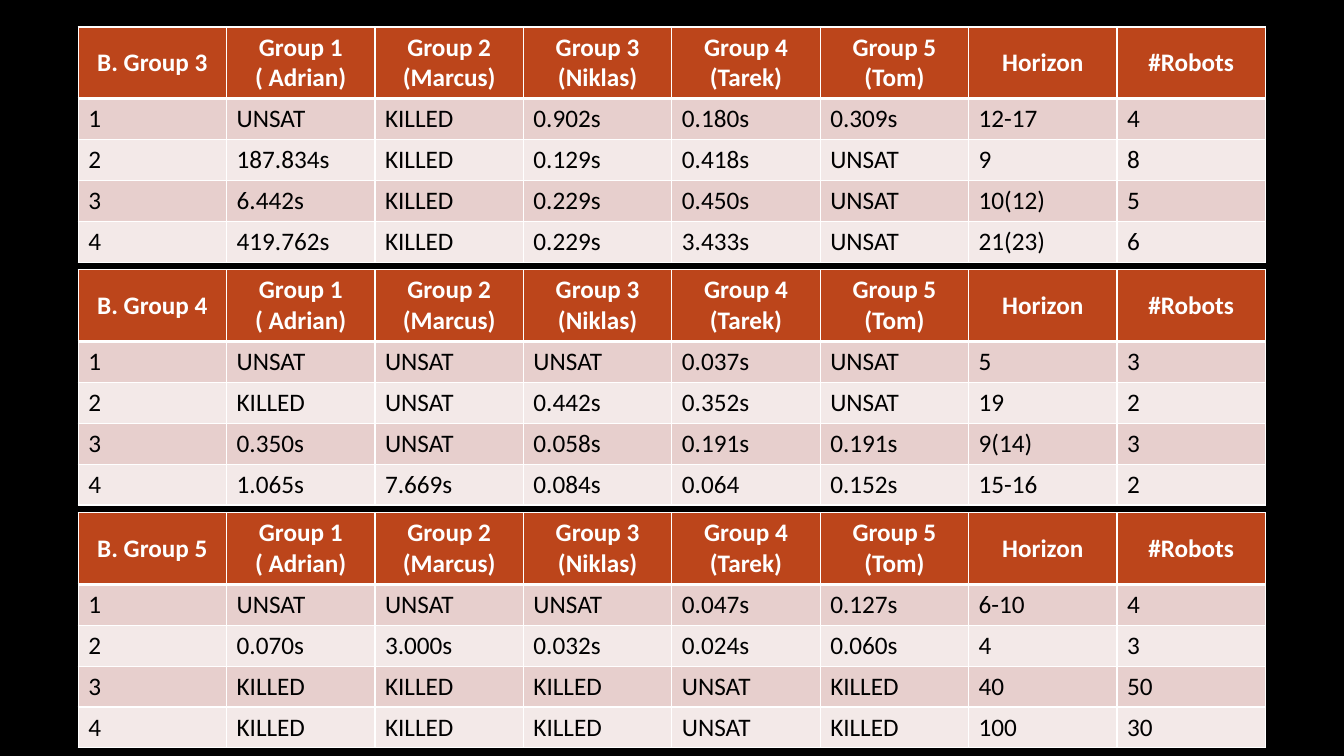
from lxml.etree import SubElement
from pptx import Presentation
from pptx.dml.color import RGBColor
from pptx.enum.text import MSO_ANCHOR, PP_ALIGN
from pptx.oxml.ns import qn
from pptx.util import Cm, Pt

HEADINGS = ["Group 1\n( Adrian)", "Group 2\n(Marcus)", "Group 3\n(Niklas)",
            "Group 4\n(Tarek)", "Group 5\n(Tom)", "Horizon", "#Robots"]
BENCHMARKS = {
    "B. Group 3": [
        ("1", "UNSAT", "KILLED", "0.902s", "0.180s", "0.309s", "12-17", "4"),
        ("2", "187.834s", "KILLED", "0.129s", "0.418s", "UNSAT", "9", "8"),
        ("3", "6.442s", "KILLED", "0.229s", "0.450s", "UNSAT", "10(12)", "5"),
        ("4", "419.762s", "KILLED", "0.229s", "3.433s", "UNSAT", "21(23)", "6"),
    ],
    "B. Group 4": [
        ("1", "UNSAT", "UNSAT", "UNSAT", "0.037s", "UNSAT", "5", "3"),
        ("2", "KILLED", "UNSAT", "0.442s", "0.352s", "UNSAT", "19", "2"),
        ("3", "0.350s", "UNSAT", "0.058s", "0.191s", "0.191s", "9(14)", "3"),
        ("4", "1.065s", "7.669s", "0.084s", "0.064", "0.152s", "15-16", "2"),
    ],
    "B. Group 5": [
        ("1", "UNSAT", "UNSAT", "UNSAT", "0.047s", "0.127s", "6-10", "4"),
        ("2", "0.070s", "3.000s", "0.032s", "0.024s", "0.060s", "4", "3"),
        ("3", "KILLED", "KILLED", "KILLED", "UNSAT", "KILLED", "40", "50"),
        ("4", "KILLED", "KILLED", "KILLED", "UNSAT", "KILLED", "100", "30"),
    ],
}
BLACK, WHITE, RUST = "000000", "FFFFFF", "BC451B"
BANDS = ["F3E9E8", "E7CFCD"]
LEFT, TOP, PITCH = 1.97, 0.68, 6.12
COLUMN_WIDTH, HEADER_HEIGHT, ROW_HEIGHT = 3.74, 1.78, 1.03


def paint(fill, color):
    fill.solid()
    fill.fore_color.rgb = RGBColor.from_string(color)


def add_borders(cell, row_index):
    properties = cell._tc.get_or_add_tcPr()
    widths = {"a:lnL": 1, "a:lnR": 1,
              "a:lnT": 3 if row_index == 1 else 1,
              "a:lnB": 3 if row_index == 0 else 1}
    for position, (side, width) in enumerate(widths.items()):
        line = SubElement(properties, qn(side), w=str(Pt(width)))
        SubElement(SubElement(line, qn("a:solidFill")), qn("a:srgbClr"), val=WHITE)
        properties.insert(position, line)


def fill_cell(cell, text, row_index):
    is_header = row_index == 0
    cell.text_frame.text = text
    cell.vertical_anchor = MSO_ANCHOR.MIDDLE
    paint(cell.fill, RUST if is_header else BANDS[row_index % 2])
    add_borders(cell, row_index)
    for para in cell.text_frame.paragraphs:
        para.alignment = PP_ALIGN.CENTER if is_header else PP_ALIGN.LEFT
        for span in para.runs:
            span.font.name = "Calibri"
            span.font.size = Pt(18)
            span.font.bold = is_header
            paint(span.font.fill, WHITE if is_header else BLACK)


def add_benchmark(page, top, rows):
    heights = [HEADER_HEIGHT] + [ROW_HEIGHT] * (len(rows) - 1)
    count = len(rows[0])
    table = page.shapes.add_table(len(rows), count, Cm(LEFT), Cm(top),
                                  Cm(COLUMN_WIDTH * count), Cm(sum(heights))).table
    for column in table.columns:
        column.width = Cm(COLUMN_WIDTH)
    for row_index, (texts, height) in enumerate(zip(rows, heights)):
        table.rows[row_index].height = Cm(height)
        for column_index, text in enumerate(texts):
            fill_cell(table.cell(row_index, column_index), text, row_index)


def main():
    deck = Presentation()
    deck.slide_width, deck.slide_height = Cm(33.87), Cm(19.05)
    page = deck.slides.add_slide(deck.slide_layouts[6])
    paint(page.background.fill, BLACK)
    for index, (name, results) in enumerate(BENCHMARKS.items()):
        add_benchmark(page, TOP + index * PITCH, [[name] + HEADINGS] + results)
    deck.save("out.pptx")


if __name__ == "__main__":
    main()
